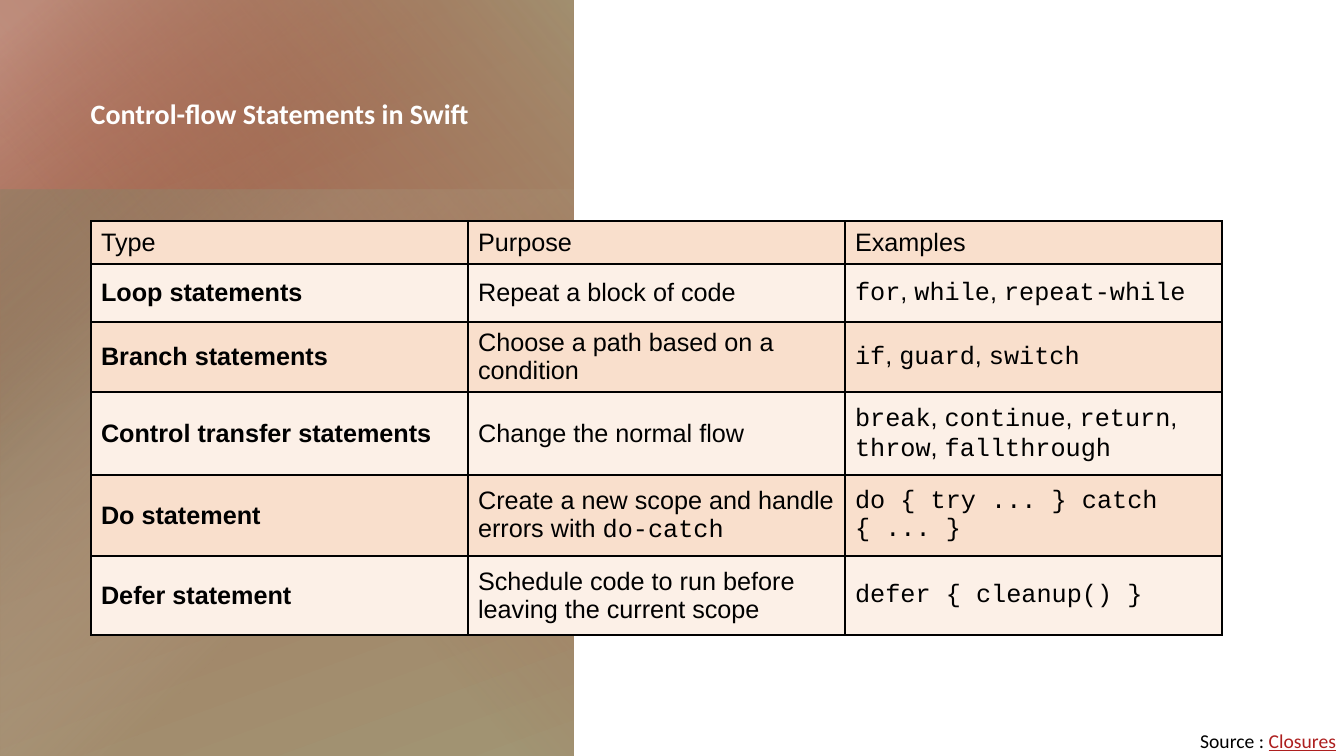
import lxml.etree
import pptx
import pptx.dml.color
import pptx.enum.shapes
import pptx.enum.text
import pptx.oxml.ns
import pptx.util

Pt = pptx.util.Pt
RGBColor = pptx.dml.color.RGBColor

BLACK = RGBColor(0x00, 0x00, 0x00)
WHITE = RGBColor(0xFF, 0xFF, 0xFF)
LINK_RED = RGBColor(0xAD, 0x1F, 0x1F)
PEACH = RGBColor(0xF9, 0xDF, 0xCC)
CREAM = RGBColor(0xFC, 0xF0, 0xE7)
RUST = RGBColor(0xA5, 0x64, 0x4E)
SAGE = RGBColor(0xA1, 0x95, 0x74)
ROSE = RGBColor(0xCB, 0x9F, 0x91)
OLIVE = RGBColor(0x7B, 0x71, 0x53)
SAND = RGBColor(0xC6, 0xBE, 0xAB)

SLIDE_WIDTH, SLIDE_HEIGHT = 960, 540
PANEL_WIDTH = 409.7


def add_element(parent, tag, **attributes):
    values = {name: str(value) for name, value in attributes.items()}
    return lxml.etree.SubElement(parent, pptx.oxml.ns.qn(tag), values)


def write(paragraph, text, font="Arial", size=18, color=BLACK, bold=False, underline=False):
    """Add text to a paragraph; parts between backticks are set as code."""
    for index, part in enumerate(text.split("`")):
        if part:
            run = paragraph.add_run()
            run.text = part
            run.font.name = "Courier New" if index % 2 else font
            run.font.size = Pt(size)
            run.font.color.rgb = color
            run.font.bold = bold
            run.font.underline = underline


presentation = pptx.Presentation()
presentation.slide_width = Pt(SLIDE_WIDTH)
presentation.slide_height = Pt(SLIDE_HEIGHT)
slide = presentation.slides.add_slide(presentation.slide_layouts[5])

# Left panel: layered gradients as (position, colour, opacity); no angle means circular
turned_offset = (SLIDE_HEIGHT - PANEL_WIDTH) / 2
panel_layers = [
    ((0, 0, PANEL_WIDTH, SLIDE_HEIGHT), 0, 70,
     [(0, RUST, 100), (7, RUST, 100), (100, SAGE, 100)]),
    ((0, 135.2, PANEL_WIDTH, 404.8), 180, None,
     [(0, OLIVE, 100), (60, SAND, 0), (100, SAND, 0)]),
    ((0, 0, 301.7, SLIDE_HEIGHT), 0, 50,
     [(0, ROSE, 78), (3, ROSE, 78), (42, RUST, 0), (100, RUST, 0)]),
    ((-turned_offset, turned_offset, SLIDE_HEIGHT, PANEL_WIDTH), 270, 230,
     [(0, SAGE, 86), (57, RUST, 0), (100, RUST, 0)]),
]
for box, rotation, angle, stops in panel_layers:
    shape = slide.shapes.add_shape(
        pptx.enum.shapes.MSO_SHAPE.RECTANGLE, *[Pt(length) for length in box])
    shape.rotation = rotation
    shape.shadow.inherit = False
    shape.line.fill.background()
    shape.fill.gradient()
    gradient = shape.element.spPr.find(pptx.oxml.ns.qn("a:gradFill"))
    gradient.clear()
    gradient.set("rotWithShape", "1")
    stop_list = add_element(gradient, "a:gsLst")
    for position, color, opacity in stops:
        stop = add_element(stop_list, "a:gs", pos=position * 1000)
        stop_color = add_element(stop, "a:srgbClr", val=color)
        if opacity < 100:
            add_element(stop_color, "a:alpha", val=opacity * 1000)
    if angle is None:
        circle = add_element(gradient, "a:path", path="circle")
        add_element(circle, "a:fillToRect", r=100000, b=100000)
    else:
        add_element(gradient, "a:lin", ang=angle * 60000, scaled=0)

# Title, brought in front of the panel
title = slide.shapes.title
title.element.getparent().append(title.element)
title.left, title.top, title.width, title.height = Pt(57.6), Pt(65.5), Pt(323.3), Pt(31.7)
title.text_frame.auto_size = pptx.enum.text.MSO_AUTO_SIZE.NONE
title.text_frame.word_wrap = True
title.text_frame.vertical_anchor = pptx.enum.text.MSO_ANCHOR.TOP
title_paragraph = title.text_frame.paragraphs[0]
title_paragraph.alignment = pptx.enum.text.PP_ALIGN.LEFT
write(title_paragraph, "Control-flow Statements in Swift",
      font="Calibri", size=20, color=WHITE, bold=True)

# Source line
source = slide.shapes.add_textbox(Pt(850.2), Pt(517), Pt(109.8), Pt(23))
source.text_frame.word_wrap = True
source.text_frame.margin_right = 0
source_paragraph = source.text_frame.paragraphs[0]
write(source_paragraph, "Source : ", font="Calibri", size=14)
write(source_paragraph, "Closures", font="Calibri", size=14, color=LINK_RED, underline=True)

# Statement table
statements = [
    ("Type", "Purpose", "Examples"),
    ("Loop statements", "Repeat a block of code", "`for`, `while`, `repeat-while`"),
    ("Branch statements", "Choose a path based on a condition", "`if`, `guard`, `switch`"),
    ("Control transfer statements", "Change the normal flow",
     "`break`, `continue`, `return`, `throw`, `fallthrough`"),
    ("Do statement", "Create a new scope and handle errors with `do-catch`",
     "`do { try ... } catch { ... }`"),
    ("Defer statement", "Schedule code to run before leaving the current scope",
     "`defer { cleanup() }`"),
]
row_heights = [30.8, 41.3, 50, 59.2, 57.8, 56.4]
column_width = 269.3
table = slide.shapes.add_table(
    len(statements), 3, Pt(65), Pt(157.8),
    Pt(3 * column_width), Pt(sum(row_heights))).table
table.first_row = False
table.horz_banding = False
for column in table.columns:
    column.width = Pt(column_width)
for row_index, texts in enumerate(statements):
    table.rows[row_index].height = Pt(row_heights[row_index])
    for column_index, text in enumerate(texts):
        cell = table.cell(row_index, column_index)
        cell.vertical_anchor = pptx.enum.text.MSO_ANCHOR.MIDDLE
        cell_properties = cell._tc.get_or_add_tcPr()
        for side in ("a:lnL", "a:lnR", "a:lnT", "a:lnB"):
            border = add_element(cell_properties, side, w=Pt(1.5))
            add_element(add_element(border, "a:solidFill"), "a:srgbClr", val=BLACK)
        cell.fill.solid()
        cell.fill.fore_color.rgb = CREAM if row_index % 2 else PEACH
        write(cell.text_frame.paragraphs[0], text,
              bold=row_index > 0 and column_index == 0)

presentation.save("out.pptx")
